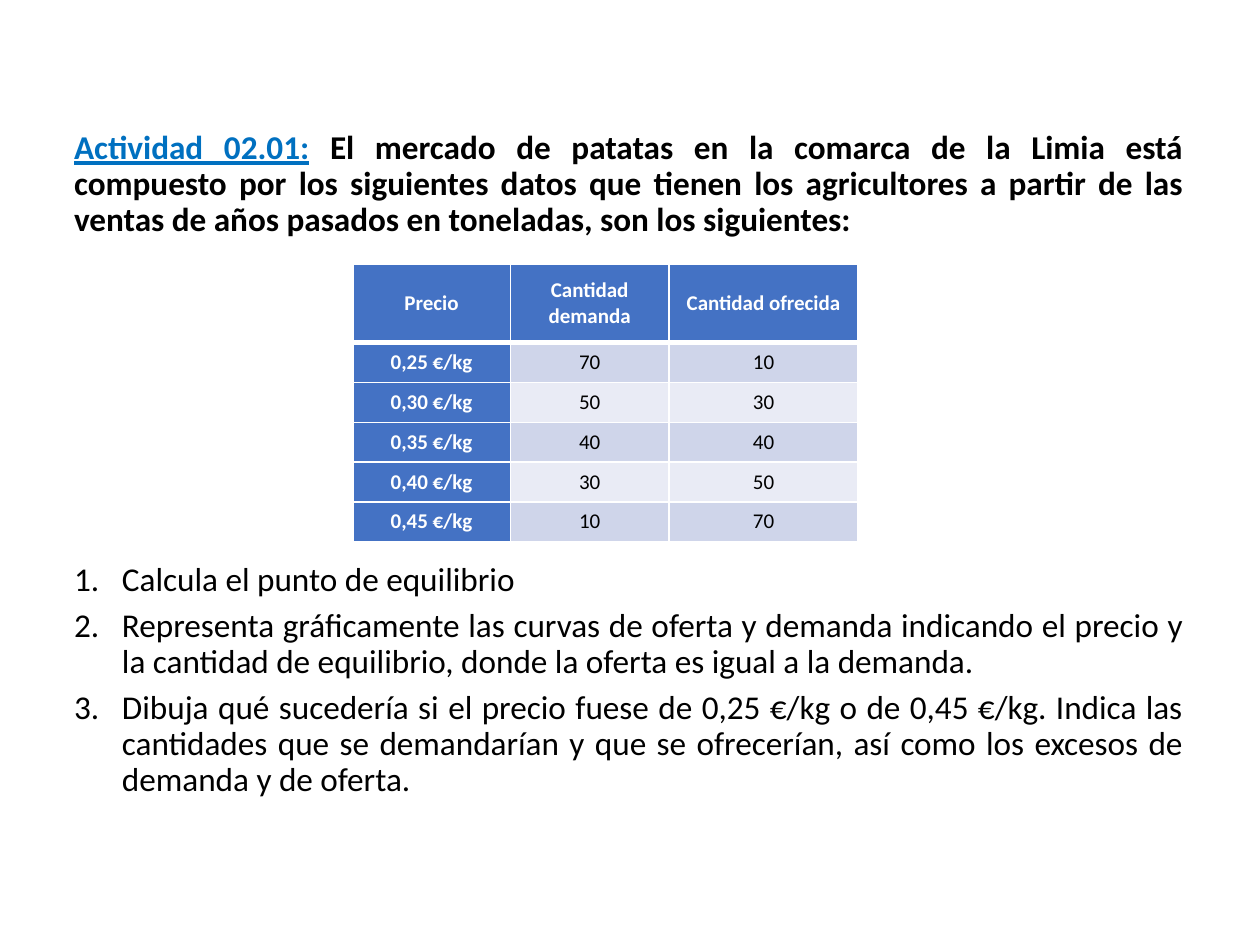
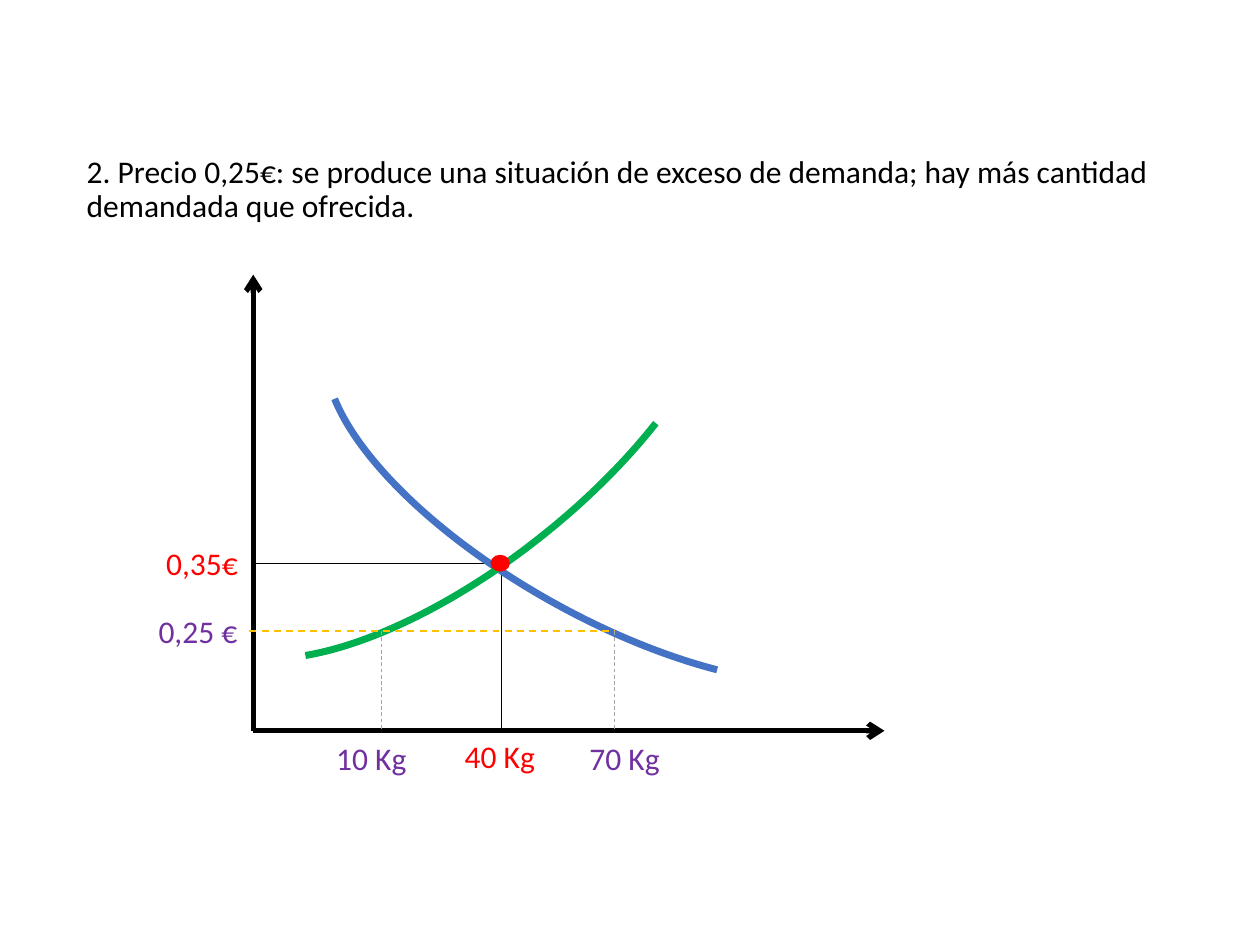
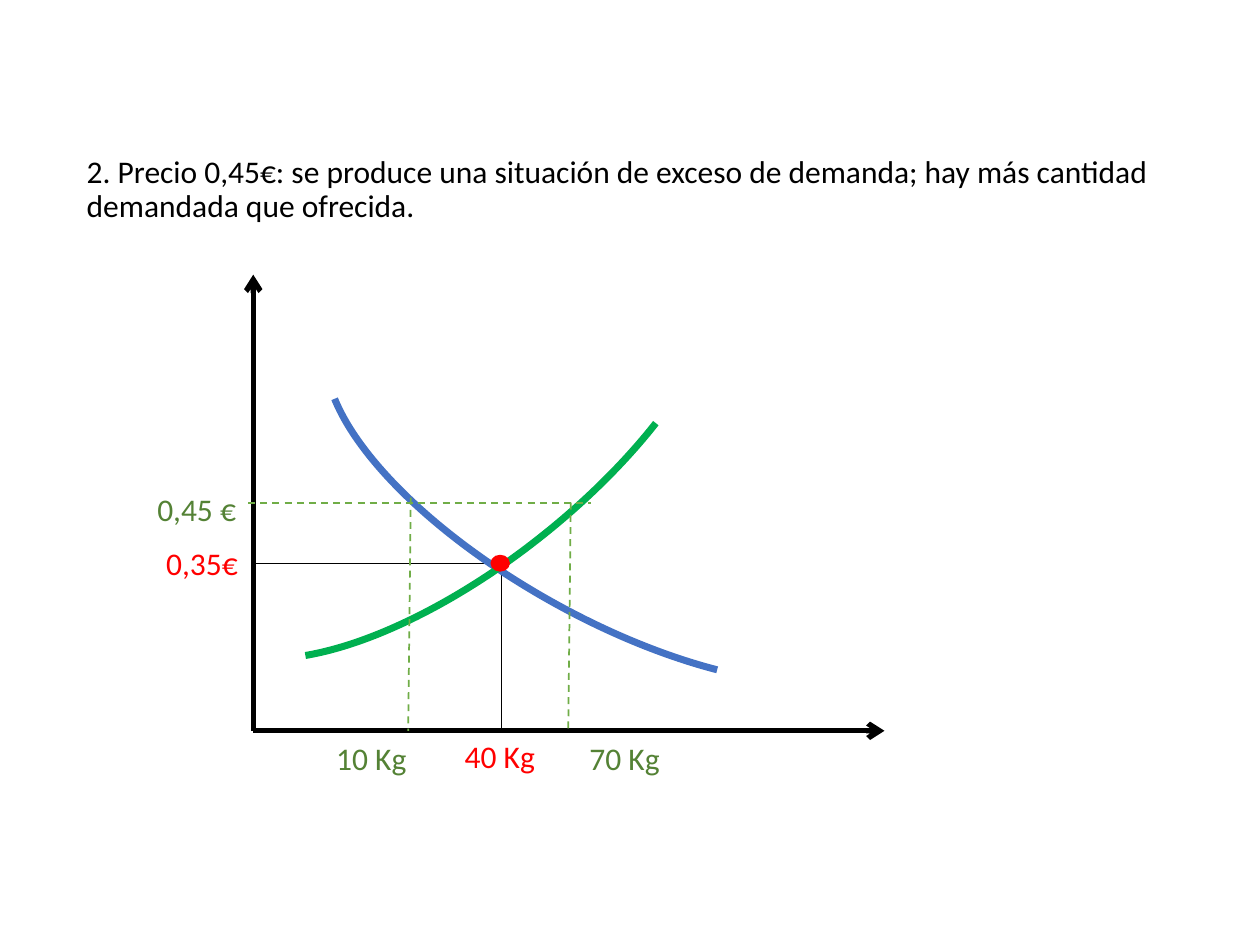
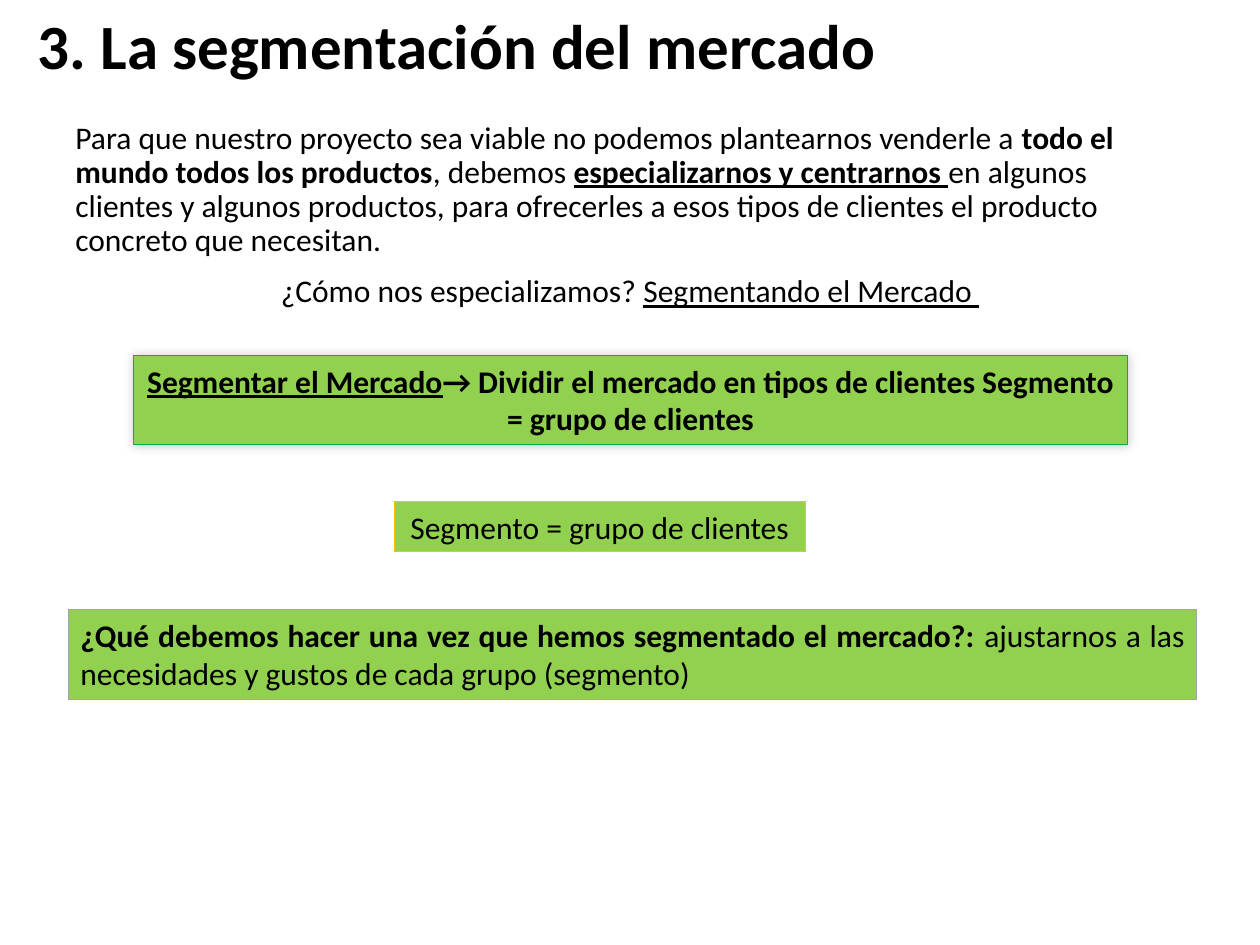
"""Build four slides on market equilibrium and market segmentation."""
from pptx import Presentation
from pptx.dml.color import RGBColor
from pptx.enum.dml import MSO_LINE
from pptx.enum.shapes import MSO_CONNECTOR as CONNECTOR, MSO_SHAPE as SHAPE
from pptx.enum.text import MSO_ANCHOR as ANCHOR, MSO_AUTO_SIZE as AUTO, PP_ALIGN as ALIGN
from pptx.oxml import parse_xml
from pptx.oxml.ns import nsdecls
from pptx.util import Inches, Pt

COLORS = {
    "black": "000000", "white": "FFFFFF", "link": "0070C0", "blue": "4472C4",
    "band": "CFD5EA", "pale": "E9EBF5", "red": "FF0000", "purple": "7030A0",
    "amber": "FFC000", "gray": "A5A5A5", "green": "00B050", "leaf": "70AD47",
    "moss": "548235", "lime": "92D050",
}
FONT = "Calibri"

ACTIVITY = [
    ("Actividad 02.01:", "bu", "link"), (" ", "b", "link"),
    ("El mercado de patatas en la comarca de la Limia está compuesto por los siguientes "
     "datos que tienen los agricultores a partir de las ventas de años pasados en "
     "toneladas, son los siguientes:", "b", "black"),
]
QUESTIONS = [
    "Calcula el punto de equilibrio",
    "Representa gráficamente las curvas de oferta y demanda indicando el precio y la "
    "cantidad de equilibrio, donde la oferta es igual a la demanda.",
    "Dibuja qué sucedería si el precio fuese de 0,25 €/kg o de 0,45 €/kg. Indica las "
    "cantidades que se demandarían y que se ofrecerían, así como los excesos de demanda "
    "y de oferta.",
]
MARKET = [
    ("Precio", "Cantidad demanda", "Cantidad ofrecida"),
    ("0,25 €/kg", "70", "10"),
    ("0,30 €/kg", "50", "30"),
    ("0,35 €/kg", "40", "40"),
    ("0,40 €/kg", "30", "50"),
    ("0,45 €/kg", "10", "70"),
]
COLUMN_WIDTHS = (1.25, 1.26, 1.5)
TABLE_HEIGHT, HEADER_HEIGHT = 2.2, 0.62

ORIGIN = (2.01, 5.8)
EQUILIBRIUM = (3.98, 4.47)
CURVES = [
    ((2.32, 2.86, 5.13, 2.05), 29.1, (126.89, 209.27), "blue"),
    ((1.07, 2.37, 5.13, 2.12), 321.6, (129.48, 205.64), "green"),
]
SCENARIOS = [
    {"price": "0,25", "label_at": (1.16, 4.81, 0.92, 0.4), "ink": "purple",
     "guides": [((1.98, 5.01), (4.88, 5.01), "amber", 1),
                ((3.03, 5.01), (3.03, 5.8), "gray", 0.5),
                ((4.88, 5.01), (4.88, 5.8), "gray", 0.5)]},
    {"price": "0,45", "label_at": (1.15, 3.84, 0.87, 0.4), "ink": "moss",
     "guides": [((1.97, 3.99), (4.69, 3.99), "leaf", 1),
                ((3.26, 3.95), (3.24, 5.8), "leaf", 1),
                ((4.53, 3.99), (4.51, 5.8), "leaf", 1)]},
]

SEGMENT_TITLE = "3. La segmentación del mercado"
SEGMENT_INTRO = [
    ("Para que nuestro proyecto sea viable no podemos plantearnos venderle a ", ""),
    ("todo el mundo todos los productos", "b"), (", debemos ", ""),
    ("especializarnos y centrarnos ", "bu"),
    ("en algunos clientes y algunos productos, para ofrecerles a esos tipos de clientes "
     "el producto concreto que necesitan.", ""),
]
SEGMENT_QUESTION = [("¿Cómo nos especializamos? ", ""), ("Segmentando el Mercado ", "u")]
SEGMENT_BOXES = [
    {"at": (1.06, 2.82, 7.89, 0.71), "edge": "green", "width": 0.75, "align": ALIGN.CENTER,
     "shadow": True,
     "runs": [("Segmentar el Mercado", "bu"),
              ("→ Dividir el mercado en tipos de clientes Segmento = grupo de clientes", "b")]},
    {"at": (3.13, 3.98, 3.26, 0.4), "edge": "amber", "width": 0.5, "align": ALIGN.CENTER,
     "wrap": False, "runs": [("Segmento = grupo de clientes", "")]},
    {"at": (0.54, 4.84, 8.96, 0.71), "edge": "gray", "width": 0.5, "align": ALIGN.JUSTIFY,
     "runs": [("¿Qué debemos hacer una vez que hemos segmentado el mercado?: ", "b"),
              ("ajustarnos a las necesidades y gustos de cada grupo (segmento)", "")]},
]


def rgb(name):
    return RGBColor.from_string(COLORS[name])


def inches(values):
    return [Inches(value) for value in values]


def write(frame, content, size=18, color="black", marks="", align=None, spacing=None,
          before=0, after=0, numbered=False, wrap=True, more=False):
    frame.word_wrap = wrap
    paragraph = frame.add_paragraph() if more else frame.paragraphs[0]
    if numbered:
        props = paragraph._p.get_or_add_pPr()
        props.set("marL", str(Inches(0.38)))
        props.set("indent", str(-Inches(0.38)))
        props.append(parse_xml(f'<a:buAutoNum {nsdecls("a")} type="arabicPeriod"/>'))
    paragraph.alignment = align
    paragraph.line_spacing = spacing
    paragraph.space_before, paragraph.space_after = Pt(before), Pt(after)
    runs = [(content, marks, color)] if isinstance(content, str) else content
    for words, style, *ink in runs:
        run = paragraph.add_run()
        run.text = words
        font = run.font
        font.name, font.size = FONT, Pt(size)
        font.bold, font.underline = "b" in style, "u" in style
        font.color.rgb = rgb(ink[0] if ink else color)


def text_box(slide, at, content, grow=True, **look):
    frame = slide.shapes.add_textbox(*inches(at)).text_frame
    write(frame, content, **look)
    frame.auto_size = AUTO.SHAPE_TO_FIT_TEXT if grow else AUTO.NONE
    return frame


def draw_line(slide, start, end, color, width, dash=False, arrow=False):
    connector = slide.shapes.add_connector(CONNECTOR.STRAIGHT, *inches(start + end))
    line = connector.line
    line.color.rgb, line.width = rgb(color), Pt(width)
    if dash:
        line.dash_style = MSO_LINE.DASH
    if arrow:
        line._get_or_add_ln().append(parse_xml(f'<a:tailEnd {nsdecls("a")} type="arrow"/>'))
    connector._element.spPr.append(parse_xml(f'<a:effectLst {nsdecls("a")}/>'))


def draw_shape(slide, kind, at, fill, edge, width):
    shape = slide.shapes.add_shape(kind, *inches(at))
    shape.shadow.inherit = False
    if fill:
        shape.fill.solid()
        shape.fill.fore_color.rgb = rgb(fill)
    else:
        shape.fill.background()
    shape.line.color.rgb, shape.line.width = rgb(edge), Pt(width)
    return shape


def set_borders(cell, row):
    widths = {"L": 1, "R": 1, "T": 3 if row == 1 else 1, "B": 3 if row == 0 else 1}
    for place, (side, width) in enumerate(widths.items()):
        cell._tc.get_or_add_tcPr().insert(place, parse_xml(
            f'<a:ln{side} {nsdecls("a")} w="{Pt(width)}"><a:solidFill>'
            f'<a:srgbClr val="{COLORS["white"]}"/></a:solidFill></a:ln{side}>'))


def market_table(slide):
    row_height = (TABLE_HEIGHT - HEADER_HEIGHT) / (len(MARKET) - 1)
    at = (2.8, 2.1, sum(COLUMN_WIDTHS), TABLE_HEIGHT)
    table = slide.shapes.add_table(len(MARKET), len(COLUMN_WIDTHS), *inches(at)).table
    for column, width in zip(table.columns, COLUMN_WIDTHS):
        column.width = Inches(width)
    for r, values in enumerate(MARKET):
        table.rows[r].height = Inches(row_height if r else HEADER_HEIGHT)
        for c, value in enumerate(values):
            cell = table.cell(r, c)
            heading = r == 0 or c == 0
            cell.fill.solid()
            cell.fill.fore_color.rgb = rgb("blue" if heading else "band" if r % 2 else "pale")
            cell.vertical_anchor = ANCHOR.MIDDLE
            cell.margin_left = cell.margin_right = Inches(0.07)
            cell.margin_top = cell.margin_bottom = 0
            gap = 3 if r else 0
            write(cell.text_frame, value, size=12, color="white" if heading else "black",
                  marks="b" if heading else "", align=ALIGN.CENTER, before=gap, after=gap)
            set_borders(cell, r)


def activity_slide(slide):
    look = {"size": 19, "align": ALIGN.JUSTIFY, "spacing": 0.9}
    body = text_box(slide, (0.49, 0.99, 9, 5.68), ACTIVITY, grow=False, **look)
    for number, question in enumerate(QUESTIONS):
        write(body, question, before=6 if number else 185, numbered=True, more=True, **look)
    market_table(slide)


def scenario_slide(slide, price, label_at, ink, guides):
    text_box(slide, (0.59, 1.19, 9, 0.88),
             f"2. Precio {price}€: se produce una situación de exceso de demanda; "
             "hay más cantidad demandada que ofrecida.", grow=False, spacing=0.9)
    left, base = ORIGIN
    across, level = EQUILIBRIUM
    for tip in ((left, 2.18), (7.02, base)):
        draw_line(slide, ORIGIN, tip, "black", 3, arrow=True)
    for foot in ((left, level), (across, base)):
        draw_line(slide, EQUILIBRIUM, foot, "black", 0.25)
    text_box(slide, (1.22, 4.27, 0.92, 0.4), "0,35€", color="red")
    text_box(slide, (3.59, base, 0.77, 0.4), "40 Kg", color="red")
    for at, turn, ends, color in CURVES:
        curve = draw_shape(slide, SHAPE.ARC, at, None, color, 4)
        curve.rotation = turn
        for side in ("flipH", "flipV"):
            curve._element.spPr.xfrm.set(side, "1")
        for index, end in enumerate(ends):
            curve.adjustments[index] = end
    draw_shape(slide, SHAPE.OVAL, (3.9, 4.41, 0.14, 0.12), "red", "red", 1)
    text_box(slide, label_at, f"{price} €", color=ink)
    for start, end, color, width in guides:
        draw_line(slide, start, end, color, width, dash=True)
    text_box(slide, (4.58, 5.82, 0.85, 0.4), "70 Kg", color=ink)
    text_box(slide, (2.57, 5.82, 0.92, 0.4), "10 Kg", color=ink)


def segment_slide(slide):
    body = text_box(slide, (0.5, 0.92, 9, 4.95), SEGMENT_INTRO, grow=False, spacing=0.9)
    write(body, SEGMENT_QUESTION, align=ALIGN.CENTER, spacing=0.9, before=10, more=True)
    text_box(slide, (0.2, 0, 7.8, 0.71), SEGMENT_TITLE, size=36, marks="b")
    for box in SEGMENT_BOXES:
        panel = draw_shape(slide, SHAPE.RECTANGLE, box["at"], "lime", box["edge"], box["width"])
        frame = panel.text_frame
        frame.vertical_anchor = ANCHOR.TOP
        write(frame, box["runs"], align=box["align"], wrap=box.get("wrap", True))
        frame.auto_size = AUTO.SHAPE_TO_FIT_TEXT
        if box.get("shadow"):
            panel._element.spPr[-1].append(parse_xml(
                f'<a:outerShdw {nsdecls("a")} blurRad="{Pt(6)}" dist="0" dir="13500000">'
                f'<a:srgbClr val="{COLORS["black"]}"><a:alpha val="20000"/></a:srgbClr>'
                '</a:outerShdw>'))


def main():
    deck = Presentation()
    deck.slide_width, deck.slide_height = Inches(10), Inches(7.5)
    blank = deck.slide_layouts[6]
    activity_slide(deck.slides.add_slide(blank))
    for scenario in SCENARIOS:
        scenario_slide(deck.slides.add_slide(blank), **scenario)
    segment_slide(deck.slides.add_slide(blank))
    deck.save("out.pptx")


if __name__ == "__main__":
    main()
